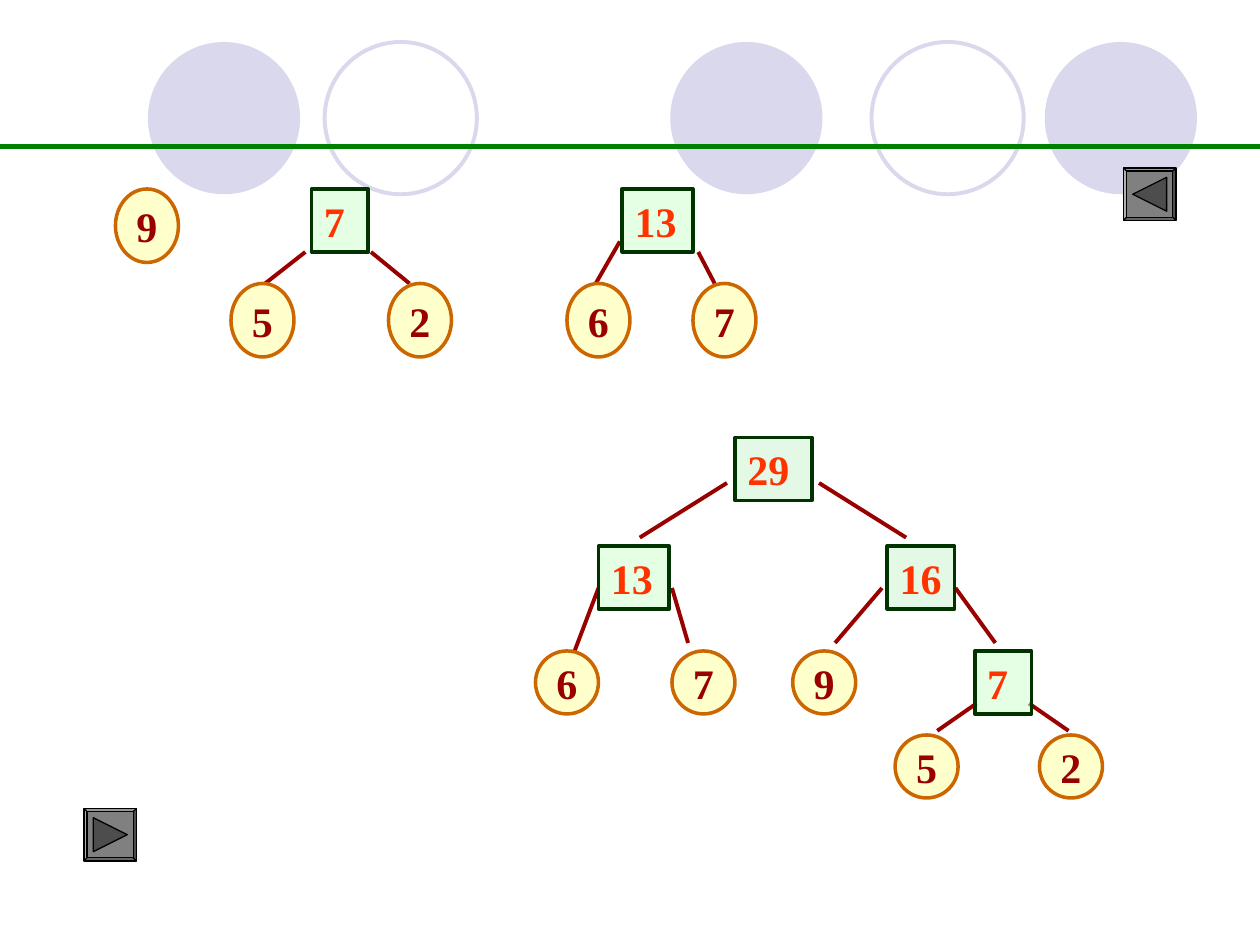
from lxml import etree
from pptx import Presentation
from pptx.dml.color import RGBColor
from pptx.enum.shapes import MSO_CONNECTOR, MSO_SHAPE
from pptx.enum.text import MSO_ANCHOR, PP_ALIGN
from pptx.oxml.ns import qn
from pptx.util import Pt

STRAIGHT = MSO_CONNECTOR.STRAIGHT
OVAL, RECT = MSO_SHAPE.OVAL, MSO_SHAPE.RECTANGLE
BEVEL, TRIANGLE = MSO_SHAPE.BEVEL, MSO_SHAPE.ISOSCELES_TRIANGLE
CENTER, LEFT = PP_ALIGN.CENTER, PP_ALIGN.LEFT
MIDDLE, TOP = MSO_ANCHOR.MIDDLE, MSO_ANCHOR.TOP

COLORS = {
    "disc": "D9D8EC", "rule": "008000", "edge": "990000",
    "leaf": "FFFF99", "leaf line": "CC6600", "leaf text": "990000",
    "sum": "CCFFCC", "root": "CAF2CE", "sum line": "003300", "sum text": "FF3300",
    "button": "808080", "arrow": "4D4D4D", "black": "000000",
}
FONT = "Times New Roman"
SUM_HEIGHT = 36


def color(name):
    return RGBColor.from_string(COLORS[name])


def add_shape(page, kind, left, top, width, height, fill=None, line=None, weight=2):
    shape = page.shapes.add_shape(kind, Pt(left), Pt(top), Pt(width), Pt(height))
    shape.shadow.inherit = False
    if fill:
        shape.fill.solid()
        shape.fill.fore_color.rgb = color(fill)
    else:
        shape.fill.background()
    if line:
        shape.line.color.rgb = color(line)
        shape.line.width = Pt(weight)
    else:
        shape.line.fill.background()
    return shape


def add_line(page, x1, y1, x2, y2, name, weight):
    line = page.shapes.add_connector(STRAIGHT, Pt(x1), Pt(y1), Pt(x2), Pt(y2))
    line.line.color.rgb = color(name)
    line.line.width = Pt(weight)
    etree.SubElement(line._element.spPr, qn("a:effectLst"))


def make_half_clear(shape):
    tint = shape._element.spPr.find(qn("a:solidFill"))[0]
    etree.SubElement(tint, qn("a:alpha"), val="50000")


def add_label(shape, text, name, align, anchor):
    frame = shape.text_frame
    frame.vertical_anchor = anchor
    para = frame.paragraphs[0]
    para.alignment = align
    span = para.add_run()
    span.text = text
    span.font.name, span.font.size, span.font.bold = FONT, Pt(24), True
    span.font.color.rgb = color(name)


def add_leaf(page, left, top, text, height):
    leaf = add_shape(page, OVAL, left, top, 36, height, "leaf", "leaf line")
    make_half_clear(leaf)
    leaf.text_frame.word_wrap = False
    add_label(leaf, text, "leaf text", CENTER, MIDDLE)


def add_sum(page, left, top, text, width, fill="sum"):
    box = add_shape(page, RECT, left, top, width, SUM_HEIGHT, fill, "sum line")
    make_half_clear(box)
    box.text_frame.word_wrap = True
    box.text_frame.margin_right = 0
    add_label(box, text, "sum text", LEFT, TOP)


def add_header(page, left, top, width):
    # Filled and hollow discs behind a full-width rule
    for x, filled in ((383, True), (597, True), (84.5, True), (498, False), (185.5, False)):
        add_shape(page, OVAL, left + x, top, 87, 87,
                  "disc" if filled else None, None if filled else "disc", 2.25)
    add_line(page, left, top + 59.8, left + width, top + 59.8, "rule", 2.5)


def add_tree(page, left, top, edges, sums, leaves, leaf_height):
    for x1, y1, x2, y2 in edges:
        add_line(page, left + x1, top + y1, left + x2, top + y2, "edge", 2.25)
    for x, y, *rest in sums:
        add_sum(page, left + x, top + y, *rest)
    for x, y, text in leaves:
        add_leaf(page, left + x, top + y, text, leaf_height)


def add_forest(page, left, top):
    # Loose weight 9, then the trees of weight 7 and 13
    add_tree(page, left, top, [], [], [(0, 0, "9")], 42)
    add_tree(page, left + 66, top,
             [(42.5, 36, 19.5, 54), (80, 36, 102, 54)],
             [(46, 0, "7", 32.4)], [(0, 54, "5"), (90, 54, "2")], 42)
    add_tree(page, left + 258, top,
             [(30.2, 30, 16.4, 54), (75, 36, 84.4, 54)],
             [(31.5, 0, "13", 40.4)], [(0, 54, "6"), (72, 54, "7")], 42)


def add_merged_tree(page, left, top):
    edges = [
        (109.4, 26, 59.6, 57.2), (162, 26, 211.8, 57.2),      # 29
        (36, 86, 22.2, 122.4), (78, 86, 87.2, 117.4),         # 13
        (198, 86, 171.2, 117.4), (240, 86, 262.8, 117.4),     # 16
        (252, 152, 229.6, 167.6), (282, 152, 304.6, 167.6),   # 7
    ]
    sums = [(114, 0, "29", 44, "root"), (36, 62, "13", 40.4),
            (201, 62, "16", 38.4, "root"), (251, 122, "7", 32.4)]
    leaves = [(0, 122, "6"), (78, 122, "7"), (147, 122, "9"),
              (205.5, 170, "5"), (288, 170, "2")]
    add_tree(page, left, top, edges, sums, leaves, 36)


def add_button(page, left, top, angle):
    frame = add_shape(page, BEVEL, left, top, 30, 30, "button", "black", 0.75)
    frame.adjustments[0] = 0.06
    arrow = add_shape(page, TRIANGLE, left + 5.3, top + 5.3, 19.4, 19.4,
                      "arrow", "black", 0.75)
    arrow.rotation = angle


def main():
    deck = Presentation()
    deck.slide_width, deck.slide_height = Pt(720), Pt(540)
    page = deck.slides.add_slide(deck.slide_layouts[6])
    add_header(page, 0, 24, 720)
    add_forest(page, 66, 108)
    add_merged_tree(page, 306, 250)
    add_button(page, 642, 96, 270)
    add_button(page, 48, 462, 90)
    deck.save("out.pptx")


if __name__ == "__main__":
    main()
